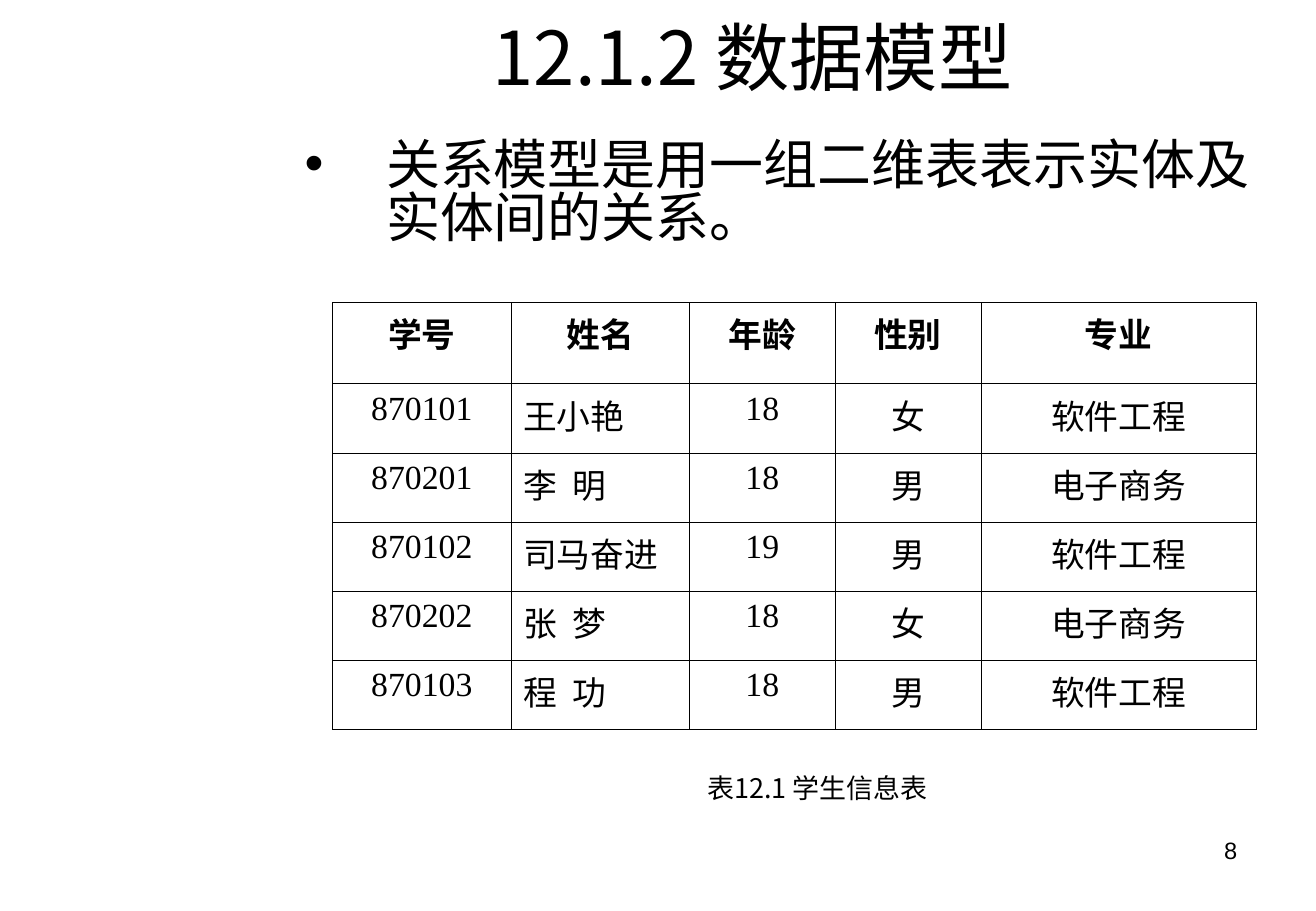
from lxml import etree
from pptx import Presentation
from pptx.dml.color import RGBColor
from pptx.enum.text import MSO_ANCHOR, MSO_AUTO_SIZE, PP_ALIGN
from pptx.oxml.ns import qn
from pptx.util import Inches, Pt

LEFT, CENTER, RIGHT = PP_ALIGN.LEFT, PP_ALIGN.CENTER, PP_ALIGN.RIGHT
MIDDLE = MSO_ANCHOR.MIDDLE
NO_FIT = MSO_AUTO_SIZE.NONE

BLACK = RGBColor(0x00, 0x00, 0x00)
SANS = "Noto Sans CJK SC"
SERIF = "Times New Roman"
DIGITS = "Arial"

SLIDE_WIDTH, SLIDE_HEIGHT = 10.84, 7.5
COLUMN_WIDTHS = [1.47, 1.47, 1.2, 1.2, 2.27]
HEADER_HEIGHT, ROW_HEIGHT = 0.67, 0.57
NAME_COLUMN = 1
STUDENTS = [
    ["学号", "姓名", "年龄", "性别", "专业"],
    ["870101", "王小艳", "18", "女", "软件工程"],
    ["870201", "李  明", "18", "男", "电子商务"],
    ["870102", "司马奋进", "19", "男", "软件工程"],
    ["870202", "张  梦", "18", "女", "电子商务"],
    ["870103", "程  功", "18", "男", "软件工程"],
]


def write(frame, text, size, font=SANS, align=LEFT, bold=False):
    """Fill a text frame with one black paragraph."""
    frame.text = text
    paragraph = frame.paragraphs[0]
    paragraph.alignment = align
    for run in paragraph.runs:
        run.font.size = Pt(size)
        run.font.name = font
        run.font.bold = bold
        run.font.color.rgb = BLACK
        east_asian = etree.SubElement(run._r.get_or_add_rPr(), qn("a:ea"))
        east_asian.set("typeface", SANS)
    return paragraph


def place(shape, left, top, width, height):
    shape.left, shape.top = Inches(left), Inches(top)
    shape.width, shape.height = Inches(width), Inches(height)


def add_title(slide, text):
    title = slide.shapes.title
    place(title, 2.03, 0.08, 8.34, 0.76)
    title.text_frame.auto_size = NO_FIT
    title.text_frame.vertical_anchor = MIDDLE
    write(title.text_frame, text, 44, align=CENTER)


def add_statement(slide, text):
    body = slide.placeholders[1]
    place(body, 2.41, 1.07, 8.42, 5.39)
    body.text_frame.auto_size = NO_FIT
    body.text_frame.margin_top = Inches(0.1)
    paragraph = write(body.text_frame, text, 32)
    paragraph.space_before = Pt(0)
    paragraph.line_spacing = 0.82
    properties = paragraph._p.get_or_add_pPr()
    properties.set("marL", str(Inches(0.67)))
    properties.set("indent", str(-Inches(0.67)))
    etree.SubElement(properties, qn("a:buChar")).set("char", "•")


def add_label(slide, box, text, size, font, align, wrap=True):
    label = slide.shapes.add_textbox(*map(Inches, box))
    label.text_frame.word_wrap = wrap
    write(label.text_frame, text, size, font, align)
    return label


def draw_borders(cell):
    properties = cell._tc.get_or_add_tcPr()
    for position, side in enumerate(("a:lnL", "a:lnR", "a:lnT", "a:lnB")):
        line = etree.Element(qn(side), w=str(Pt(0.45)))
        fill = etree.SubElement(line, qn("a:solidFill"))
        etree.SubElement(fill, qn("a:srgbClr")).set("val", str(BLACK))
        properties.insert(position, line)


def add_student_table(slide, left, top):
    height = HEADER_HEIGHT + ROW_HEIGHT * (len(STUDENTS) - 1)
    table = slide.shapes.add_table(
        len(STUDENTS), len(COLUMN_WIDTHS), Inches(left), Inches(top),
        Inches(sum(COLUMN_WIDTHS)), Inches(height)).table
    table.horz_banding = False
    for column, width in zip(table.columns, COLUMN_WIDTHS):
        column.width = Inches(width)
    for r, student in enumerate(STUDENTS):
        is_header = r == 0
        table.rows[r].height = Inches(HEADER_HEIGHT if is_header else ROW_HEIGHT)
        for c, value in enumerate(student):
            cell = table.cell(r, c)
            cell.fill.background()
            draw_borders(cell)
            align = LEFT if c == NAME_COLUMN and not is_header else CENTER
            write(cell.text_frame, value, 20, SERIF, align, is_header)


def main():
    deck = Presentation()
    deck.slide_width = Inches(SLIDE_WIDTH)
    deck.slide_height = Inches(SLIDE_HEIGHT)
    slide = deck.slides.add_slide(deck.slide_layouts[1])
    add_title(slide, "12.1.2 数据模型")
    add_statement(slide, "关系模型是用一组二维表表示实体及实体间的关系。")
    add_label(slide, (8.41, 6.83, 1.88, 0.52), "8", 14, DIGITS, RIGHT)
    caption = add_label(slide, (5.67, 6.3, 2.13, 0.37), "表12.1 学生信息表",
                        16, SANS, CENTER, wrap=False)
    caption.text_frame.vertical_anchor = MIDDLE
    add_student_table(slide, 2.74, 2.49)
    deck.save("out.pptx")


if __name__ == "__main__":
    main()
